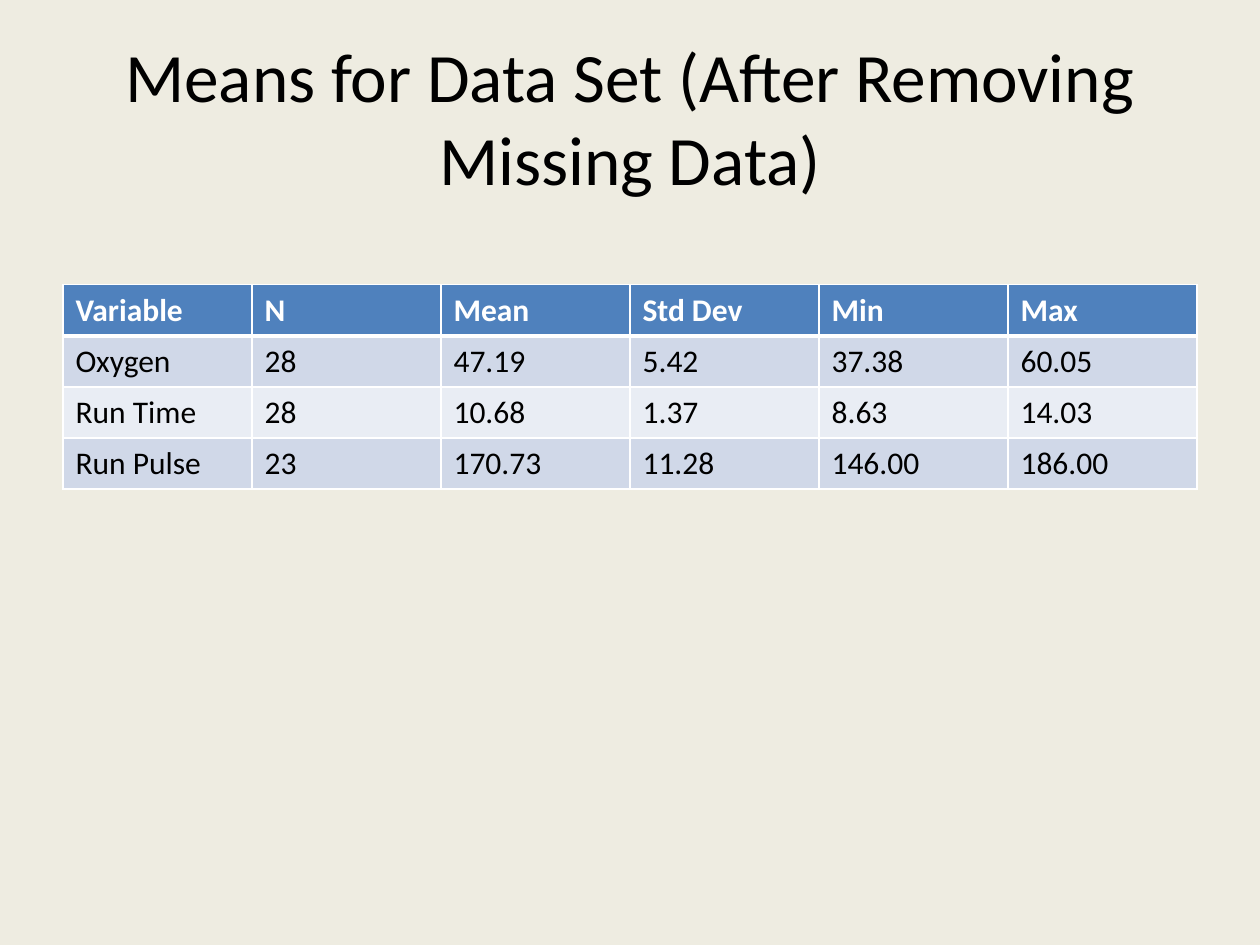
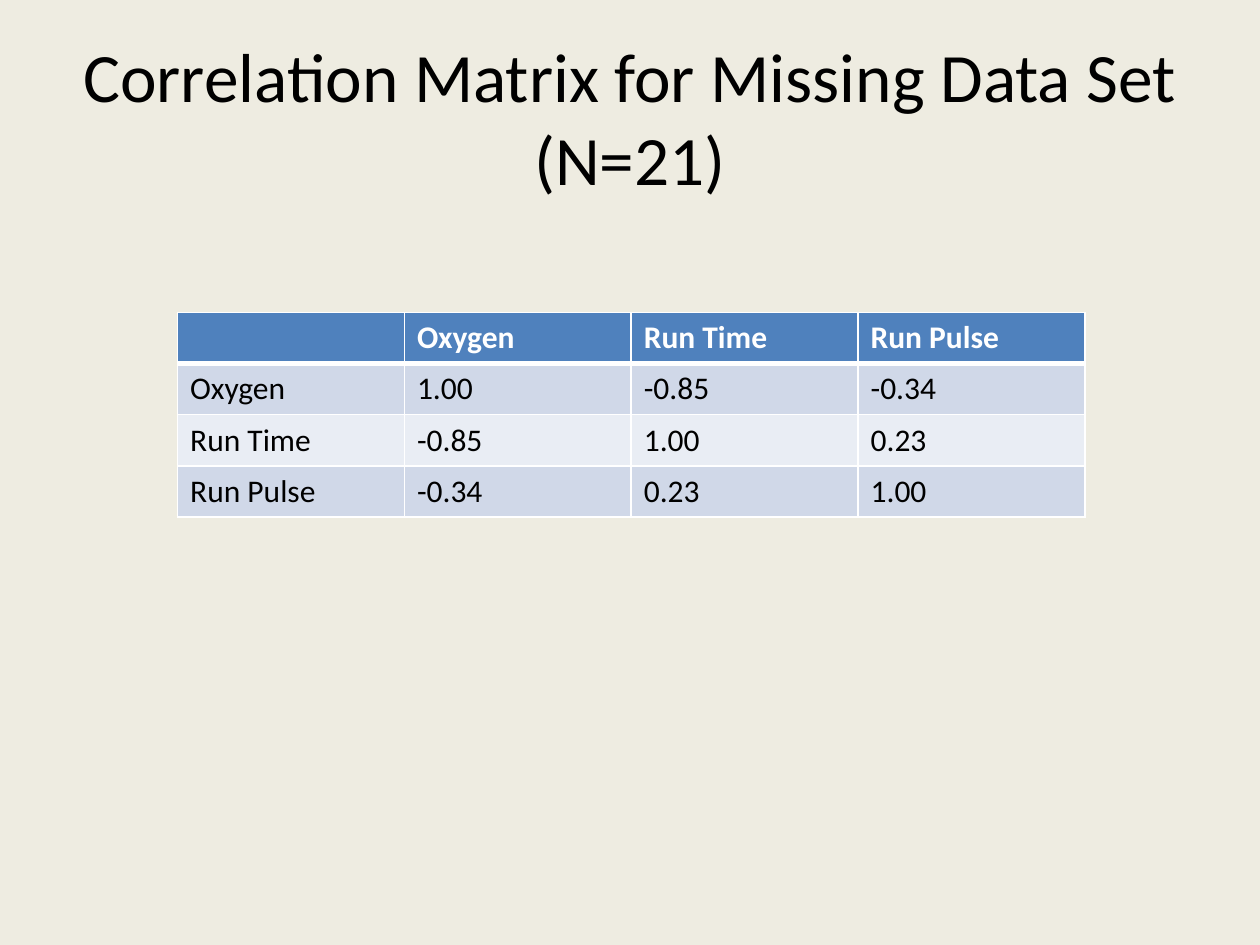
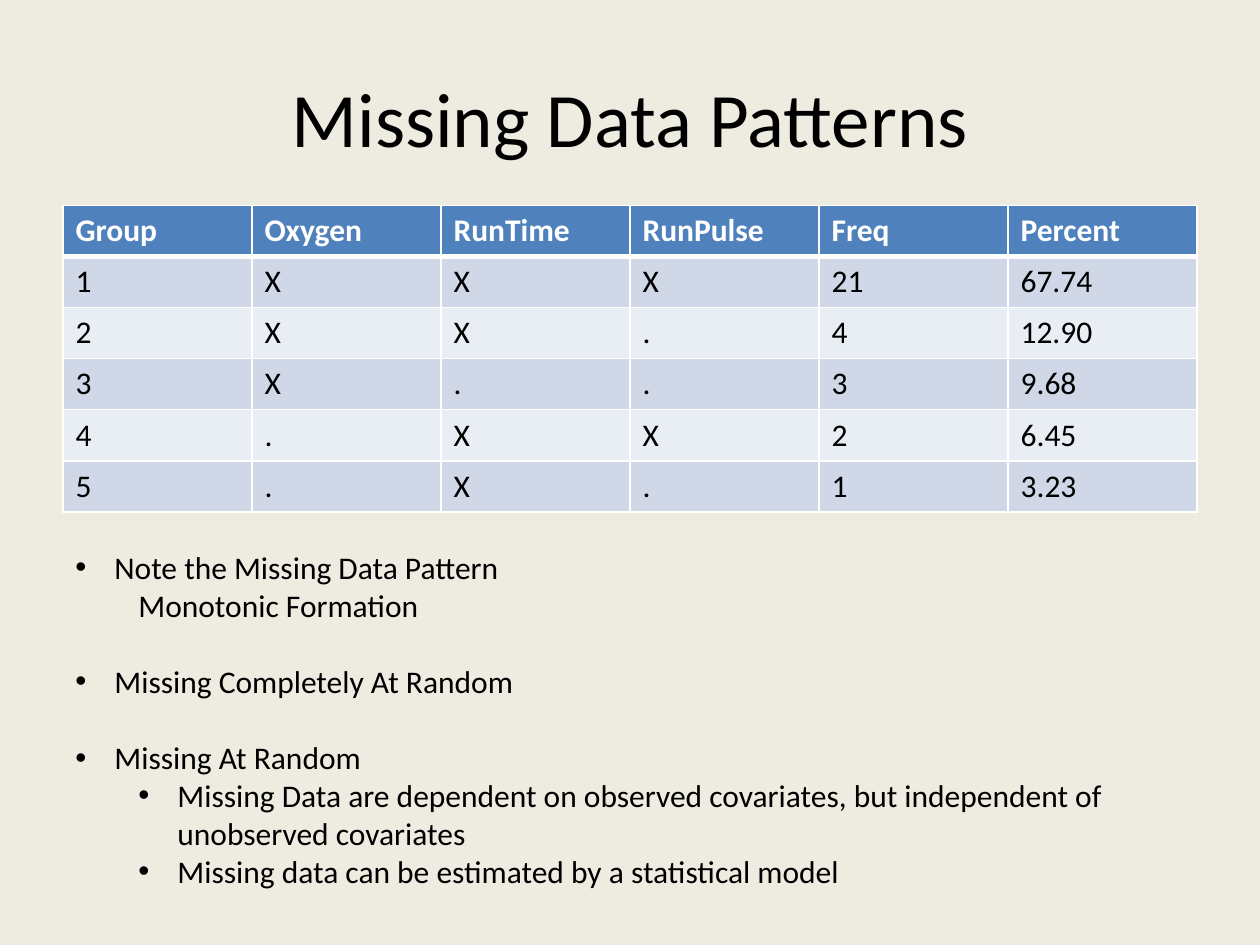
from dataclasses import dataclass

from lxml.etree import SubElement
from pptx import Presentation
from pptx.dml.color import RGBColor
from pptx.enum.text import MSO_ANCHOR, MSO_AUTO_SIZE, PP_ALIGN
from pptx.oxml.ns import qn
from pptx.util import Inches, Pt


@dataclass(frozen=True)
class Theme:
    font: str = "Calibri"
    title: float = 44
    long_title: float = 39.6
    body: float = 18
    paper: str = "EEECE1"
    ink: str = "000000"
    header: str = "4F81BD"
    light: str = "FFFFFF"
    bands: tuple[str, str] = ("D0D8E8", "E9EDF4")
    rule: float = 1
    header_rule: float = 3
    row_height: float = 29.2


@dataclass(frozen=True)
class Grid:
    """A table; left, top and col_width are percentages of the slide."""
    left: float
    top: float
    col_width: float
    rows: list[list[str]]


@dataclass(frozen=True)
class Note:
    """A line of the notes; indent in inches, space before in lines."""
    text: str
    indent: float = 0.31
    level: int = 0
    bullet: bool = True
    gap: int = 0


THEME = Theme()
HANG = 0.31
LINE = 1.22  # line height as a multiple of the type size

prs = Presentation()
prs.slide_width, prs.slide_height = Inches(10), Inches(7.5)


def across(percent: float) -> int:
    return round(prs.slide_width * percent / 100)


def down(percent: float) -> int:
    return round(prs.slide_height * percent / 100)


def format_runs(p, size: float, color: str, bold: bool = False) -> None:
    for r in p.runs:
        r.font.name, r.font.size, r.font.bold = THEME.font, Pt(size), bold
        r.font.color.rgb = RGBColor.from_string(color)


def add_titled_slide(title: str, size: float):
    s = prs.slides.add_slide(prs.slide_layouts[5])
    sp = s.shapes.title
    sp.left, sp.top, sp.width, sp.height = across(5), down(4), across(90), down(16.67)
    tf = sp.text_frame
    tf.text = title
    tf.word_wrap, tf.auto_size = True, MSO_AUTO_SIZE.NONE
    tf.vertical_anchor = MSO_ANCHOR.MIDDLE
    tf.paragraphs[0].alignment = PP_ALIGN.CENTER
    format_runs(tf.paragraphs[0], size, THEME.ink)
    return s


def set_borders(cell, top: float, bottom: float) -> None:
    tc_pr = cell._tc.get_or_add_tcPr()
    widths = {"L": THEME.rule, "R": THEME.rule, "T": top, "B": bottom}
    for side, width in widths.items():
        ln = SubElement(tc_pr, qn(f"a:ln{side}"), w=str(Pt(width)))
        fill = SubElement(ln, qn("a:solidFill"))
        SubElement(fill, qn("a:srgbClr"), val=THEME.light)


def add_grid(s, grid: Grid) -> None:
    n_rows, n_cols = len(grid.rows), len(grid.rows[0])
    row_height = Pt(THEME.row_height)
    table = s.shapes.add_table(
        n_rows, n_cols, across(grid.left), down(grid.top),
        across(grid.col_width * n_cols), row_height * n_rows).table
    table.horz_banding = False
    for i, row in enumerate(grid.rows):
        table.rows[i].height = row_height
        is_header = i == 0
        for j, text in enumerate(row):
            cell = table.cell(i, j)
            cell.text = text
            format_runs(cell.text_frame.paragraphs[0], THEME.body,
                        THEME.light if is_header else THEME.ink, is_header)
            # Borders come before the fill in the cell's properties
            set_borders(cell,
                        top=THEME.header_rule if i == 1 else THEME.rule,
                        bottom=THEME.header_rule if is_header else THEME.rule)
            cell.fill.solid()
            cell.fill.fore_color.rgb = RGBColor.from_string(
                THEME.header if is_header else THEME.bands[(i - 1) % 2])


def add_notes_box(s, notes: list[Note]) -> None:
    tf = s.shapes.add_textbox(across(5), down(57.33), across(90), down(41.73)).text_frame
    tf.word_wrap = True
    for i, note in enumerate(notes):
        p = tf.add_paragraph() if i else tf.paragraphs[0]
        p.text, p.level = note.text, note.level
        p.space_before = Pt(note.gap * THEME.body * LINE)
        format_runs(p, THEME.body, THEME.ink)
        p_pr = p._p.get_or_add_pPr()
        p_pr.set("marL", str(Inches(note.indent)))
        p_pr.set("indent", str(Inches(-HANG if note.bullet else 0)))
        if note.bullet:
            SubElement(p_pr, qn("a:buFont"), typeface="Arial")
            SubElement(p_pr, qn("a:buChar"), char="•")


# Shared background
background = prs.slide_master.background.fill
background.solid()
background.fore_color.rgb = RGBColor.from_string(THEME.paper)

# Means
s = add_titled_slide("Means for Data Set (After Removing Missing Data)", THEME.long_title)
add_grid(s, Grid(5, 30.13, 15, [
    ["Variable", "N", "Mean", "Std Dev", "Min", "Max"],
    ["Oxygen", "28", "47.19", "5.42", "37.38", "60.05"],
    ["Run Time", "28", "10.68", "1.37", "8.63", "14.03"],
    ["Run Pulse", "23", "170.73", "11.28", "146.00", "186.00"],
]))

# Correlations
s = add_titled_slide("Correlation Matrix for Missing Data Set (N=21)", THEME.long_title)
add_grid(s, Grid(14.1, 33.07, 18, [
    ["", "Oxygen", "Run Time", "Run Pulse"],
    ["Oxygen", "1.00", "-0.85", "-0.34"],
    ["Run Time", "-0.85", "1.00", "0.23"],
    ["Run Pulse", "-0.34", "0.23", "1.00"],
]))

# Patterns of missing data
s = add_titled_slide("Missing Data Patterns", THEME.title)
add_grid(s, Grid(5, 21.73, 15, [
    ["Group", "Oxygen", "RunTime", "RunPulse", "Freq", "Percent"],
    ["1", "X", "X", "X", "21", "67.74"],
    ["2", "X", "X", ".", "4", "12.90"],
    ["3", "X", ".", ".", "3", "9.68"],
    ["4", ".", "X", "X", "2", "6.45"],
    ["5", ".", "X", ".", "1", "3.23"],
]))
add_notes_box(s, [
    Note("Note the Missing Data Pattern"),
    Note("Monotonic Formation", indent=0.5, bullet=False),
    Note("Missing Completely At Random", gap=1),
    Note("Missing At Random", gap=1),
    Note("Missing Data are dependent on observed covariates, "
         "but independent of unobserved covariates", indent=0.81, level=1),
    Note("Missing data can be estimated by a statistical model", indent=0.81, level=1),
])

prs.save("out.pptx")
